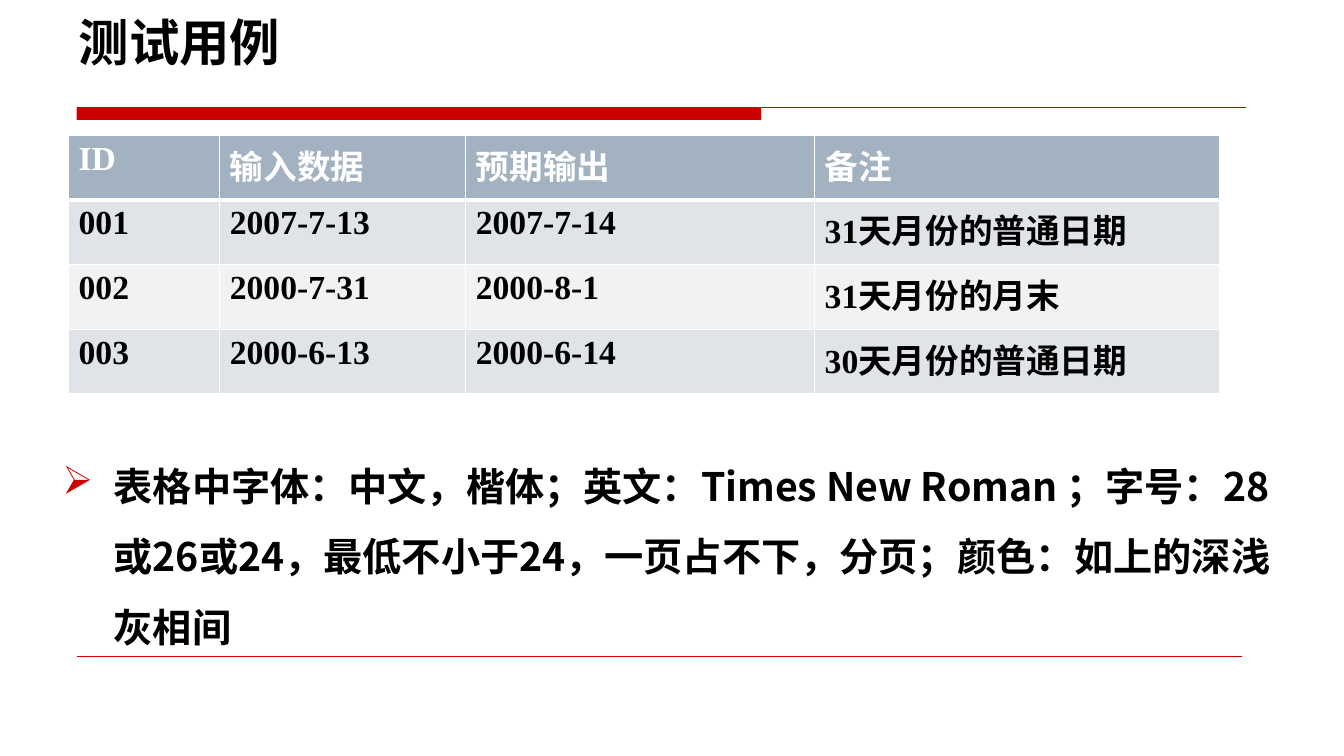
"""Build the test case slide: ruled title, banded table and a formatting note."""
from dataclasses import dataclass

from lxml import etree
from pptx import Presentation
from pptx.dml.color import RGBColor
from pptx.enum import shapes, text
from pptx.oxml import ns
from pptx.util import Inches, Pt


@dataclass(frozen=True)
class Theme:
    red: str = "CC0000"
    black: str = "000000"
    white: str = "FFFFFF"
    header: str = "A3B2C1"
    bands: tuple = ("E0E4E9", "F0F2F4")
    chinese: str = "Noto Sans CJK SC"
    latin: str = "Times New Roman"
    title_size: int = 36
    note_size: int = 28
    cell_size: int = 24


theme = Theme()


def style(para, size, color, latin):
    """Set the bold font of a paragraph for Latin and Chinese text."""
    font = para.font
    font.size, font.bold, font.name = Pt(size), True, latin
    font.color.rgb = RGBColor.from_string(color)
    properties = para._p.pPr.find(ns.qn("a:defRPr"))
    etree.SubElement(properties, ns.qn("a:ea"), typeface=theme.chinese)


def add_border(cell, side, width):
    """Draw one white border of a table cell."""
    line = etree.SubElement(cell._tc.get_or_add_tcPr(), ns.qn(f"a:ln{side}"), w=str(Pt(width)))
    fill = etree.SubElement(line, ns.qn("a:solidFill"))
    etree.SubElement(fill, ns.qn("a:srgbClr"), val=theme.white)


deck = Presentation()
deck.slide_width, deck.slide_height = Inches(13.33), Inches(7.5)
page = deck.slides.add_slide(deck.slide_layouts[5])

bar = page.shapes.add_shape(shapes.MSO_SHAPE.RECTANGLE, Inches(0.76), Inches(1.07), Inches(6.79), Inches(0.12))
bar.shadow.inherit = False
bar.fill.solid()
bar.fill.fore_color.rgb = RGBColor.from_string(theme.red)
bar.line.fill.background()

for right, top, width in ((12.36, 1.07, 0.75), (12.32, 6.51, 0.25)):
    rule = page.shapes.add_connector(
        shapes.MSO_CONNECTOR.STRAIGHT, Inches(0.76), Inches(top), Inches(right), Inches(top))
    rule.line.color.rgb = RGBColor.from_string(theme.red)
    rule.line.width = Pt(width)
    etree.SubElement(rule._element.spPr, ns.qn("a:effectLst"))

title = page.shapes.title
title.left, title.top, title.width, title.height = Inches(0.68), Inches(0.21), Inches(11.67), Inches(0.55)
title.text_frame.text = "测试用例"
title.text_frame.vertical_anchor = text.MSO_ANCHOR.BOTTOM
title.text_frame.auto_size = text.MSO_AUTO_SIZE.NONE
heading = title.text_frame.paragraphs[0]
heading.alignment = text.PP_ALIGN.LEFT
style(heading, theme.title_size, theme.black, theme.chinese)

cases = (
    ("ID", "输入数据", "预期输出", "备注"),
    ("001", "2007-7-13", "2007-7-14", "31天月份的普通日期"),
    ("002", "2000-7-31", "2000-8-1", "31天月份的月末"),
    ("003", "2000-6-13", "2000-6-14", "30天月份的普通日期"),
)
table = page.shapes.add_table(
    len(cases), len(cases[0]), Inches(0.68), Inches(1.34), Inches(11.42), Inches(2.57)).table
for column, width in zip(table.columns, (1.5, 2.44, 3.46, 4.02)):
    column.width = Inches(width)

for row, values in enumerate(cases):
    fill = theme.bands[(row - 1) % 2] if row else theme.header
    color = theme.black if row else theme.white
    top_width, bottom_width = 3 if row == 1 else 1, 3 if row == 0 else 1
    for column, value in enumerate(values):
        cell = table.cell(row, column)
        cell.text = value
        for side, width in zip("LRTB", (1, 1, top_width, bottom_width)):
            add_border(cell, side, width)
        cell.fill.solid()
        cell.fill.fore_color.rgb = RGBColor.from_string(fill)
        style(cell.text_frame.paragraphs[0], theme.cell_size, color, theme.latin)

note = page.shapes.add_textbox(Inches(0.52), Inches(4.3), Inches(12.34), Inches(2.1))
note.text_frame.word_wrap = True
para = note.text_frame.paragraphs[0]
para.text = ("表格中字体：中文，楷体；英文：Times New Roman ；字号："
             "28或26或24，最低不小于24，一页占不下，分页；颜色：如上的深浅灰相间")
para.line_spacing = 1.5
para.space_before = Pt(theme.note_size * 0.2)
style(para, theme.note_size, theme.black, theme.chinese)

layout = para._p.pPr
layout.set("marL", str(Inches(0.51)))
layout.set("indent", str(-Inches(0.51)))
bullet_color = etree.Element(ns.qn("a:buClr"))
etree.SubElement(bullet_color, ns.qn("a:srgbClr"), val=theme.red)
bullet = etree.Element(ns.qn("a:buChar"), char="➢")
for part in (bullet_color, bullet):
    layout.find(ns.qn("a:defRPr")).addprevious(part)

deck.save("out.pptx")
